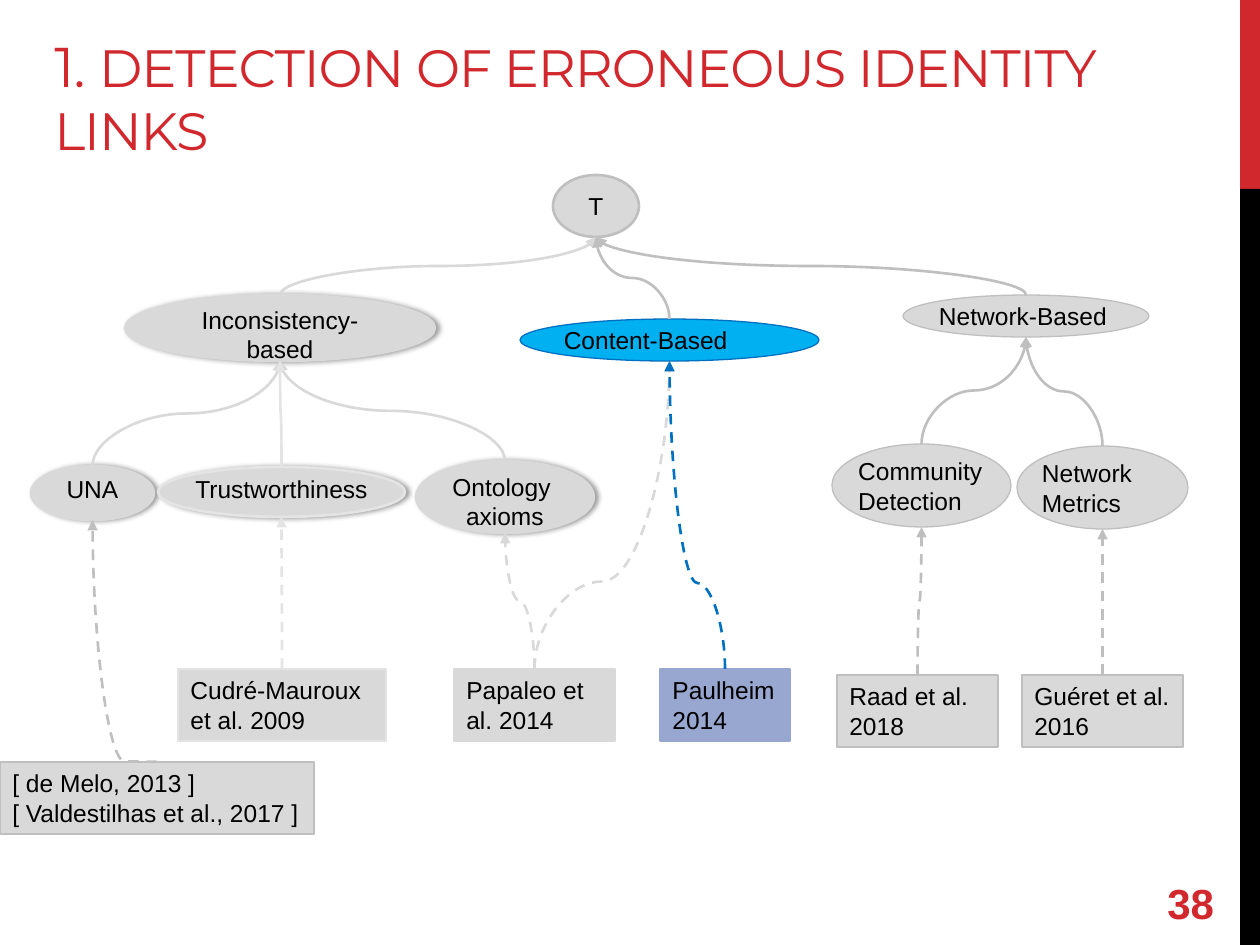
from lxml.etree import SubElement
from pptx import Presentation
from pptx.dml.color import RGBColor
from pptx.enum.dml import MSO_LINE
from pptx.enum.shapes import MSO_CONNECTOR, MSO_SHAPE
from pptx.enum.text import MSO_ANCHOR, MSO_AUTO_SIZE, PP_ALIGN
from pptx.oxml.ns import qn
from pptx.util import Emu, Pt

HEX = {"red": "D1282E", "black": "000000", "gray": "D9D9D9", "mid": "BFBFBF",
       "pale": "E4E4E4", "cyan": "00B0F0", "blue": "0070C0", "lilac": "97A7D0"}

BARS = [((1240, 0, 20, 189), "red"), ((1240, 189, 20, 756), "black")]
TITLE = [("1. ", 32), ("DETECTION OF ERRONEOUS IDENTITY LINKS", 30)]

# style: fill, line, line width, centred, shadow
STYLES = {
    "root": ("gray", "mid", 1.5, True, False),
    "soft": ("gray", "gray", 1.5, True, True),
    "trust": ("gray", "pale", 1.5, True, True),
    "plain": ("gray", "mid", 0.75, False, False),
    "focus": ("cyan", "blue", 0.75, False, False),
    "pale": ("gray", "pale", 0.75, False, False),
    "bare": ("gray", "gray", 0.75, False, False),
    "lilac": ("lilac", "lilac", 0.75, False, False),
}

# key: box, style, lines
TOPICS = {
    "top": ((553, 175, 86, 62), "root", ["T"]),
    "incons": ((125, 295, 310, 66), "soft", ["Inconsistency-based"]),
    "net": ((903, 295, 246, 42), "plain", ["Network-Based"]),
    "content": ((520, 319, 299, 42), "focus", ["Content-Based"]),
    "una": ((31, 466, 123, 54), "soft", ["UNA"]),
    "trust": ((158, 467, 247, 50), "trust", ["Trustworthiness "]),
    "axioms": ((416, 461, 178, 72), "soft", ["Ontology ", "axioms"]),
    "commun": ((832, 444, 179, 83), "plain", ["Community", "Detection"]),
    "metrics": ((1017, 446, 171, 83), "plain", ["Network", "Metrics"]),
}
PAPERS = {
    "melo": ((0, 762, 314, 72), "plain",
             ["[ de Melo, 2013 ]", "[ Valdestilhas et al., 2017 ]"]),
    "cudre": ((178, 669, 208, 72), "pale", ["Cudré-Mauroux et al. 2009"]),
    "papaleo": ((454, 669, 161, 72), "bare", ["Papaleo et al. 2014"]),
    "paulheim": ((660, 669, 130, 72), "lilac", ["Paulheim", "2014"]),
    "raad": ((837, 675, 161, 72), "plain", ["Raad et al. 2018"]),
    "gueret": ((1022, 675, 161, 72), "plain", ["Guéret et al. 2016"]),
}
NODES = {**TOPICS, **PAPERS}

# child, parent, colour, bend (percent of the way up); papers get dashes
LINKS = [
    ("incons", "top", "gray", 50), ("net", "top", "mid", 50),
    ("content", "top", "mid", 50), ("una", "incons", "gray", 50),
    ("commun", "net", "mid", 50), ("metrics", "net", "mid", 50),
    ("melo", "una", "mid", 0.2), ("cudre", "trust", "pale", 50),
    ("raad", "commun", "mid", 50), ("gueret", "metrics", "mid", 50),
    ("axioms", "incons", "gray", 50), ("papaleo", "axioms", "gray", 50),
    ("papaleo", "content", "gray", 28.4), ("trust", "incons", "pale", 50),
    ("paulheim", "content", "blue", 27.9),
]


def px(num):
    return Emu(round(num * 914400 / 126))


def tint(name):
    return RGBColor.from_string(HEX[name])


def write(para, text, size, color, font="Arial", bold=None):
    run = para.add_run()
    run.text = text
    run.font.size = Pt(size)
    run.font.name = font
    run.font.bold = bold
    run.font.color.rgb = tint(color)
    return run


def cast(shape):
    """Give the shape a soft shadow to its right."""
    shade = SubElement(shape._element.spPr.find(qn("a:effectLst")),
                       qn("a:outerShdw"), blurRad=str(Pt(3.1)),
                       dist=str(Pt(1.8)), dir="0", algn="l", rotWithShape="0")
    color = SubElement(shade, qn("a:srgbClr"), val=HEX["black"])
    SubElement(color, qn("a:alpha"), val="40000")


def block(slide, kind, box, fill):
    shape = slide.shapes.add_shape(kind, *map(px, box))
    shape.shadow.inherit = False
    shape.fill.solid()
    shape.fill.fore_color.rgb = tint(fill)
    shape.line.fill.background()
    return shape


def node(slide, key):
    box, style, lines = NODES[key]
    fill, edge, width, center, shadow = STYLES[style]
    topic = key in TOPICS
    kind = MSO_SHAPE.OVAL if topic else MSO_SHAPE.RECTANGLE
    shape = block(slide, kind, box, fill)
    shape.line.color.rgb = tint(edge)
    shape.line.width = Pt(width)
    if shadow:
        cast(shape)
    frame = shape.text_frame
    frame.word_wrap = key != "melo"
    frame.vertical_anchor = MSO_ANCHOR.MIDDLE if key == "top" else MSO_ANCHOR.TOP
    if topic and key != "top":
        frame.margin_left = frame.margin_right = 0
        frame.margin_top = frame.margin_bottom = 0
    if not center:
        frame.auto_size = MSO_AUTO_SIZE.SHAPE_TO_FIT_TEXT
    for i, text in enumerate(lines):
        para = frame.add_paragraph() if i else frame.paragraphs[0]
        para.alignment = PP_ALIGN.CENTER if center else PP_ALIGN.LEFT
        write(para, text, 14, "black")


def link(slide, child, parent, color, bend):
    """Draw a curve from the top of the child up to the foot of the parent."""
    left, y1, wide, _ = NODES[child][0]
    x1 = left + wide / 2
    left, top, wide, high = NODES[parent][0]
    x2, y2 = left + wide / 2, top + high
    rise, run = y1 - y2, abs(x2 - x1)
    # The curve runs sideways by nature, so its box is turned a quarter
    x, y = (x1 + x2 - rise) / 2, (y1 + y2 - run) / 2
    curve = slide.shapes.add_connector(MSO_CONNECTOR.CURVE, px(x), px(y),
                                       px(x + rise), px(y + run))
    props = curve._element.spPr
    turn = props.find(qn("a:xfrm"))
    right = x2 > x1
    turn.set("rot", str((90 if right else 270) * 60000))
    turn.set("flipV", "1")
    if right:
        turn.set("flipH", "1")
    SubElement(props.find(qn("a:prstGeom")).find(qn("a:avLst")), qn("a:gd"),
               name="adj1", fmla=f"val {round(bend * 1000)}")
    curve.line.color.rgb = tint(color)
    curve.line.width = Pt(1.5)
    if child in PAPERS:
        curve.line.dash_style = MSO_LINE.DASH
    SubElement(props.find(qn("a:ln")), qn("a:tailEnd"), type="triangle")
    SubElement(props, qn("a:effectLst"))


def label(slide, box, anchor):
    frame = slide.shapes.add_textbox(*map(px, box)).text_frame
    frame.word_wrap = True
    frame.vertical_anchor = anchor
    return frame.paragraphs[0]


def main():
    deck = Presentation()
    deck.slide_width, deck.slide_height = px(1260), px(945)
    slide = deck.slides.add_slide(deck.slide_layouts[6])
    for box, fill in BARS:
        block(slide, MSO_SHAPE.RECTANGLE, box, fill)
    para = label(slide, (42, 25, 1184, 149), MSO_ANCHOR.TOP)
    for text, size in TITLE:
        run = write(para, text, size, "red", "Montserrat")
        run.font._element.set("spc", "-60")
    para = label(slide, (1155, 878, 105, 50), MSO_ANCHOR.MIDDLE)
    write(para, "38", 24, "red", bold=True)
    for key in NODES:
        node(slide, key)
    for row in LINKS:
        link(slide, *row)
    deck.save("out.pptx")


if __name__ == "__main__":
    main()
